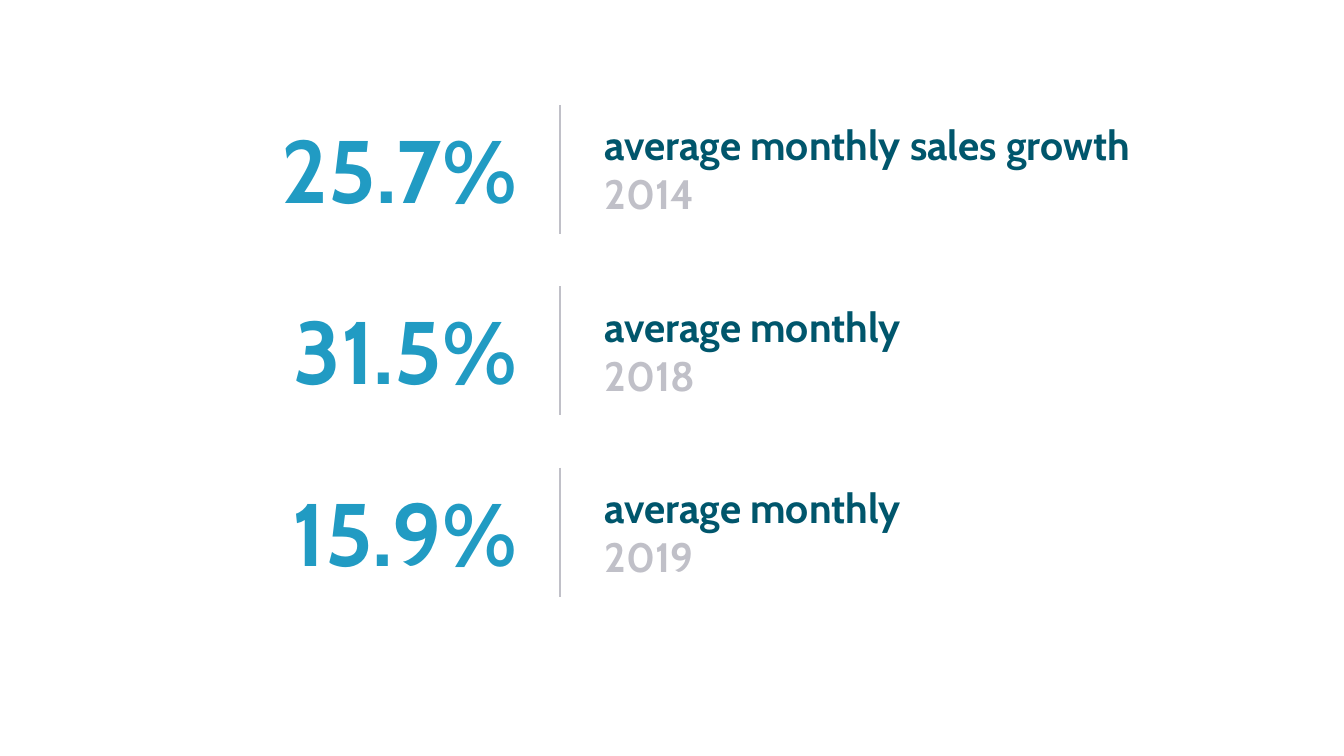
from lxml.etree import SubElement
from pptx import Presentation
from pptx.dml.color import RGBColor
from pptx.enum.shapes import MSO_CONNECTOR
from pptx.enum.text import MSO_ANCHOR, MSO_AUTO_SIZE, PP_ALIGN
from pptx.oxml.ns import qn
from pptx.util import Cm, Pt

COLORS = {"figure": "219BC3", "label": "00566C", "muted": "C0C0C8"}
FRAME_FORMAT = {
    "word_wrap": True,
    "auto_size": MSO_AUTO_SIZE.NONE,
    "vertical_anchor": MSO_ANCHOR.MIDDLE,
    "margin_left": Cm(0.17),
    "margin_right": Cm(0.17),
    "margin_top": Cm(0.1),
    "margin_bottom": Cm(0.1),
}
STATISTICS = [
    ("25.7%", "average monthly sales growth", "2014"),
    ("31.5%", "average monthly", "2018"),
    ("15.9%", "average monthly", "2019"),
]
ROWS_LEFT, ROWS_TOP = 7.44, 3.96
ROW_HEIGHT, ROW_PITCH = 4.88, 6.86


def color(name):
    return RGBColor.from_string(COLORS[name])


def add_text(slide, box, lines, size, align):
    """Write (text, color name) lines into a box given in centimetres."""
    frame = slide.shapes.add_textbox(*map(Cm, box)).text_frame
    for attribute, value in FRAME_FORMAT.items():
        setattr(frame, attribute, value)
    for index, (text, color_name) in enumerate(lines):
        paragraph = frame.add_paragraph() if index else frame.paragraphs[0]
        paragraph.alignment = align
        run = paragraph.add_run()
        run.text = text
        for attribute, value in {"name": "Cabin", "size": Pt(size), "bold": True}.items():
            setattr(run.font, attribute, value)
        run.font.color.rgb = color(color_name)


def add_divider(slide, x, top, height):
    divider = slide.shapes.add_connector(
        MSO_CONNECTOR.STRAIGHT, Cm(x), Cm(top), Cm(x), Cm(top + height)
    )
    divider.line.color.rgb = color("muted")
    divider.line.width = Pt(2)
    SubElement(divider._element.spPr, qn("a:effectLst"))


def add_statistic(slide, left, top, height, statistic):
    """Place a figure, a divider and its label with the year in one row."""
    figure, label, year = statistic
    add_text(slide, (left + 15.24, top + 0.43, 26.87, 3.99),
             [(label, "label"), (year, "muted")], 44, PP_ALIGN.LEFT)
    add_divider(slide, left + 13.74, top, height)
    add_text(slide, (left, top + 0.25, 12.27, 4.27),
             [(figure, "figure")], 95, PP_ALIGN.RIGHT)


def main():
    deck = Presentation()
    deck.slide_width, deck.slide_height = Cm(50.8), Cm(28.58)
    slide = deck.slides.add_slide(deck.slide_layouts[6])
    for row, statistic in enumerate(STATISTICS):
        add_statistic(slide, ROWS_LEFT, ROWS_TOP + row * ROW_PITCH, ROW_HEIGHT, statistic)
    deck.save("out.pptx")


if __name__ == "__main__":
    main()
